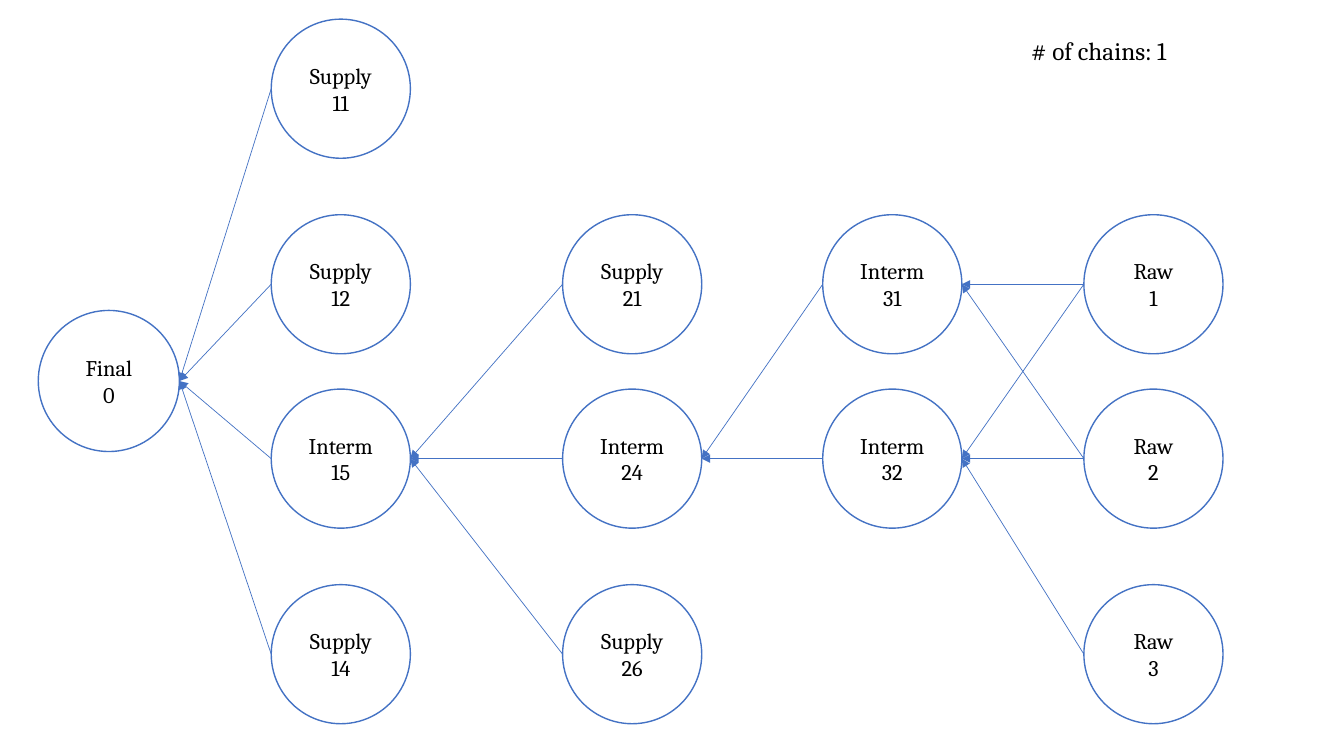
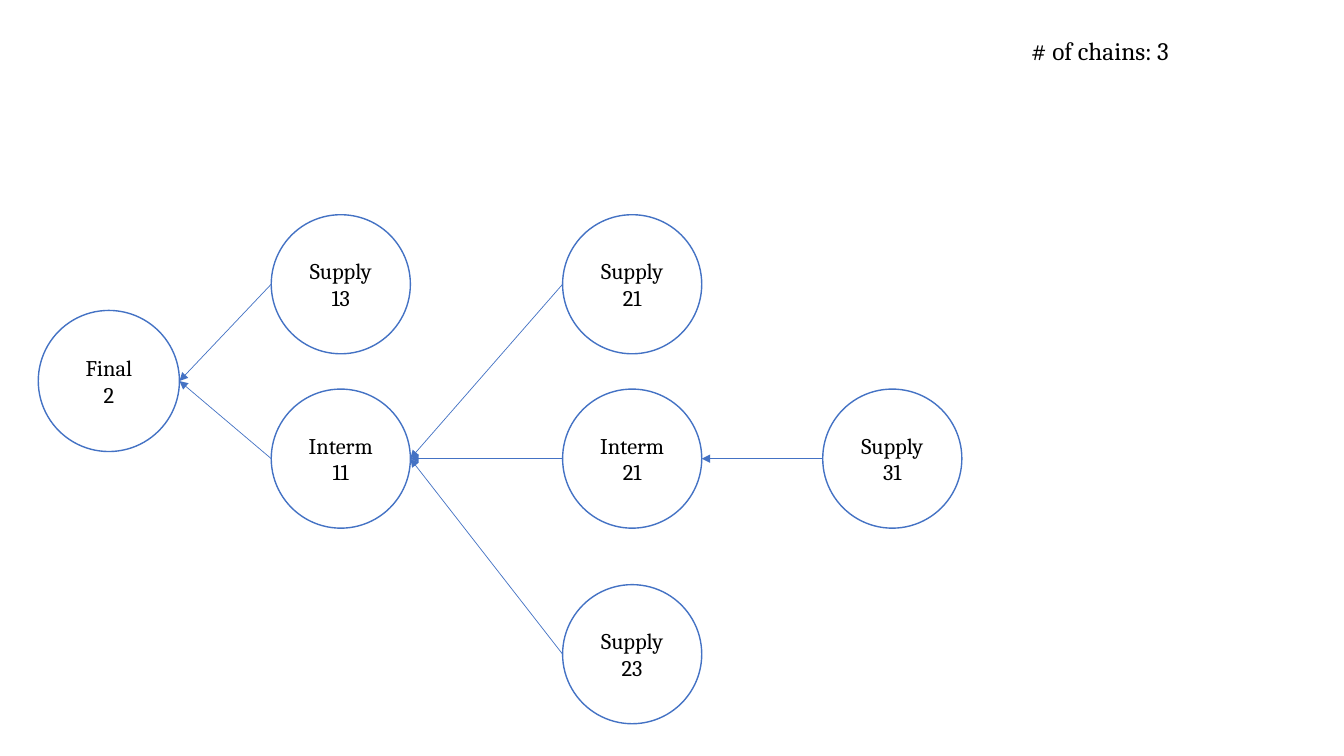
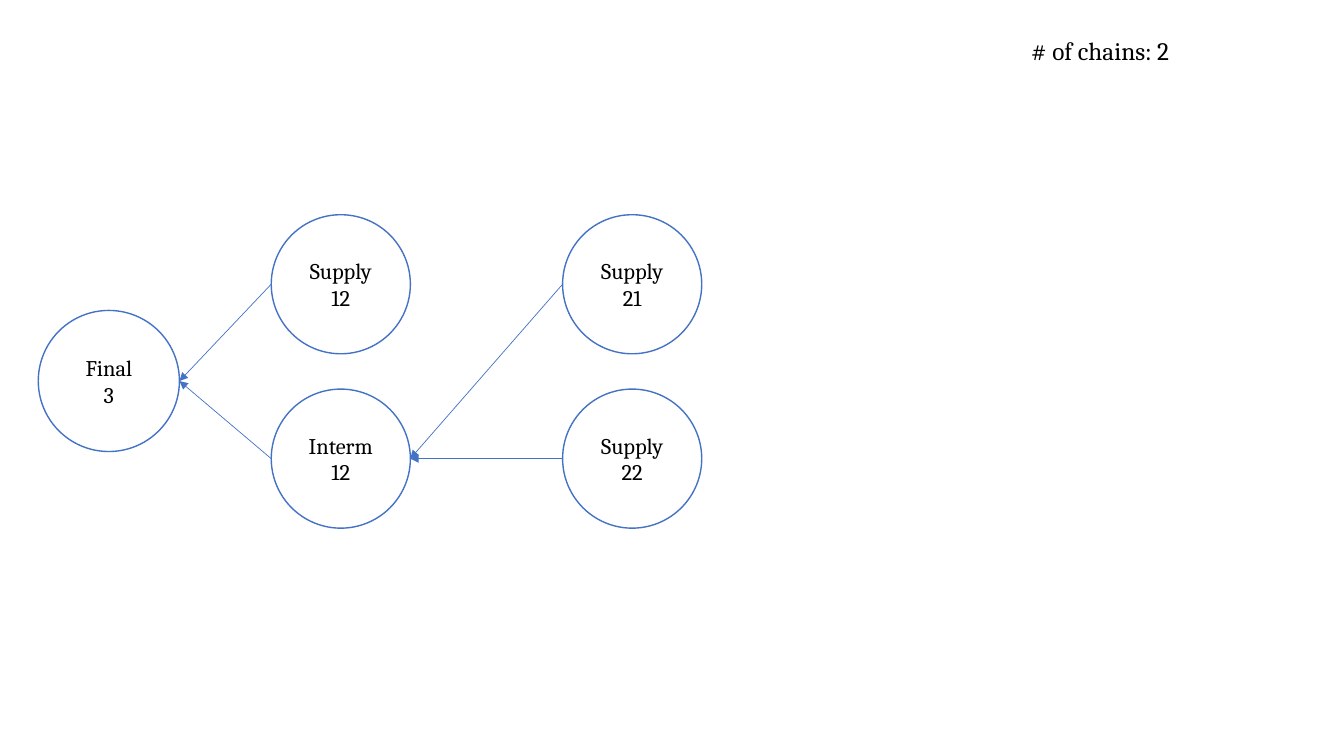
from lxml import etree
from pptx import Presentation
from pptx.dml.color import RGBColor
from pptx.enum import shapes, text
from pptx.oxml import ns
from pptx.util import Inches, Pt

BLUE = RGBColor(0x44, 0x72, 0xC4)
WHITE = RGBColor(0xFF, 0xFF, 0xFF)
BLACK = RGBColor(0, 0, 0)
FONT = "Cambria"

NETWORK_BOX = (0.38, 0.19)
COUNT_BOX = (10.13, 0.3, 1.7, 0.4)
COLUMNS = (0, 2.31, 5.2, 7.78, 10.37)
ROWS = {"top": 0, "upper": 1.94, "final": 2.89, "middle": 3.67, "bottom": 5.61}
FINAL_SIZE = 1.4
NODE_SIZE = 1.38

CHAINS = [
    {
        "count": 1,
        "nodes": {
            "Final 0": (0, "final"),
            "Supply 11": (1, "top"),
            "Supply 12": (1, "upper"),
            "Interm 15": (1, "middle"),
            "Supply 14": (1, "bottom"),
            "Supply 21": (2, "upper"),
            "Interm 24": (2, "middle"),
            "Supply 26": (2, "bottom"),
            "Interm 31": (3, "upper"),
            "Interm 32": (3, "middle"),
            "Raw 1": (4, "upper"),
            "Raw 2": (4, "middle"),
            "Raw 3": (4, "bottom"),
        },
        "inputs": {
            "Interm 31": ["Raw 1", "Raw 2"],
            "Interm 32": ["Raw 1", "Raw 2", "Raw 3"],
            "Interm 24": ["Interm 31", "Interm 32"],
            "Interm 15": ["Supply 21", "Interm 24", "Supply 26"],
            "Final 0": ["Supply 11", "Supply 12", "Interm 15", "Supply 14"],
        },
    },
    {
        "count": 3,
        "nodes": {
            "Final 2": (0, "final"),
            "Supply 13": (1, "upper"),
            "Interm 11": (1, "middle"),
            "Supply 21": (2, "upper"),
            "Interm 21": (2, "middle"),
            "Supply 23": (2, "bottom"),
            "Supply 31": (3, "middle"),
        },
        "inputs": {
            "Interm 21": ["Supply 31"],
            "Interm 11": ["Supply 21", "Interm 21", "Supply 23"],
            "Final 2": ["Supply 13", "Interm 11"],
        },
    },
    {
        "count": 2,
        "nodes": {
            "Final 3": (0, "final"),
            "Supply 12": (1, "upper"),
            "Interm 12": (1, "middle"),
            "Supply 21": (2, "upper"),
            "Supply 22": (2, "middle"),
        },
        "inputs": {
            "Interm 12": ["Supply 21", "Supply 22"],
            "Final 3": ["Supply 12", "Interm 12"],
        },
    },
]


def set_font(para, size):
    para.font.name = FONT
    para.font.size = Pt(size)
    para.font.color.rgb = BLACK


def add_node(page, label, left, top, size):
    node = page.shapes.add_shape(
        shapes.MSO_SHAPE.OVAL, Inches(left), Inches(top), Inches(size), Inches(size)
    )
    node.name = label
    node.shadow.inherit = False
    node.fill.solid()
    node.fill.fore_color.rgb = WHITE
    node.line.color.rgb = BLUE
    node.line.width = Pt(1)
    frame = node.text_frame
    frame.vertical_anchor = text.MSO_ANCHOR.MIDDLE
    frame.text = label.replace(" ", "\n")
    for para in frame.paragraphs:
        para.alignment = text.PP_ALIGN.CENTER
        set_font(para, 16)
    return node


def add_arrow(page, source, target):
    arrow = page.shapes.add_connector(
        shapes.MSO_CONNECTOR.STRAIGHT,
        source.left,
        source.top + source.height // 2,
        target.left + target.width,
        target.top + target.height // 2,
    )
    arrow.line.color.rgb = BLUE
    arrow.line.width = Pt(0.5)
    etree.SubElement(arrow.line._get_or_add_ln(), ns.qn("a:tailEnd"), type="triangle")
    etree.SubElement(arrow._element.spPr, ns.qn("a:effectLst"))


def add_network(page, box, nodes, inputs):
    left, top = box
    drawn = {}
    for label, (column, row) in nodes.items():
        size = FINAL_SIZE if row == "final" else NODE_SIZE
        drawn[label] = add_node(page, label, left + COLUMNS[column], top + ROWS[row], size)
    for target, sources in inputs.items():
        for source in sources:
            add_arrow(page, drawn[source], drawn[target])


def add_count(page, box, count):
    frame = page.shapes.add_textbox(*map(Inches, box)).text_frame
    frame.word_wrap = False
    frame.auto_size = text.MSO_AUTO_SIZE.SHAPE_TO_FIT_TEXT
    frame.text = f"# of chains: {count}"
    set_font(frame.paragraphs[0], 18)


def main():
    deck = Presentation()
    deck.slide_width = Inches(13.33)
    deck.slide_height = Inches(7.5)
    for chain in CHAINS:
        page = deck.slides.add_slide(deck.slide_layouts[6])
        add_network(page, NETWORK_BOX, chain["nodes"], chain["inputs"])
        add_count(page, COUNT_BOX, chain["count"])
    deck.save("out.pptx")


if __name__ == "__main__":
    main()
